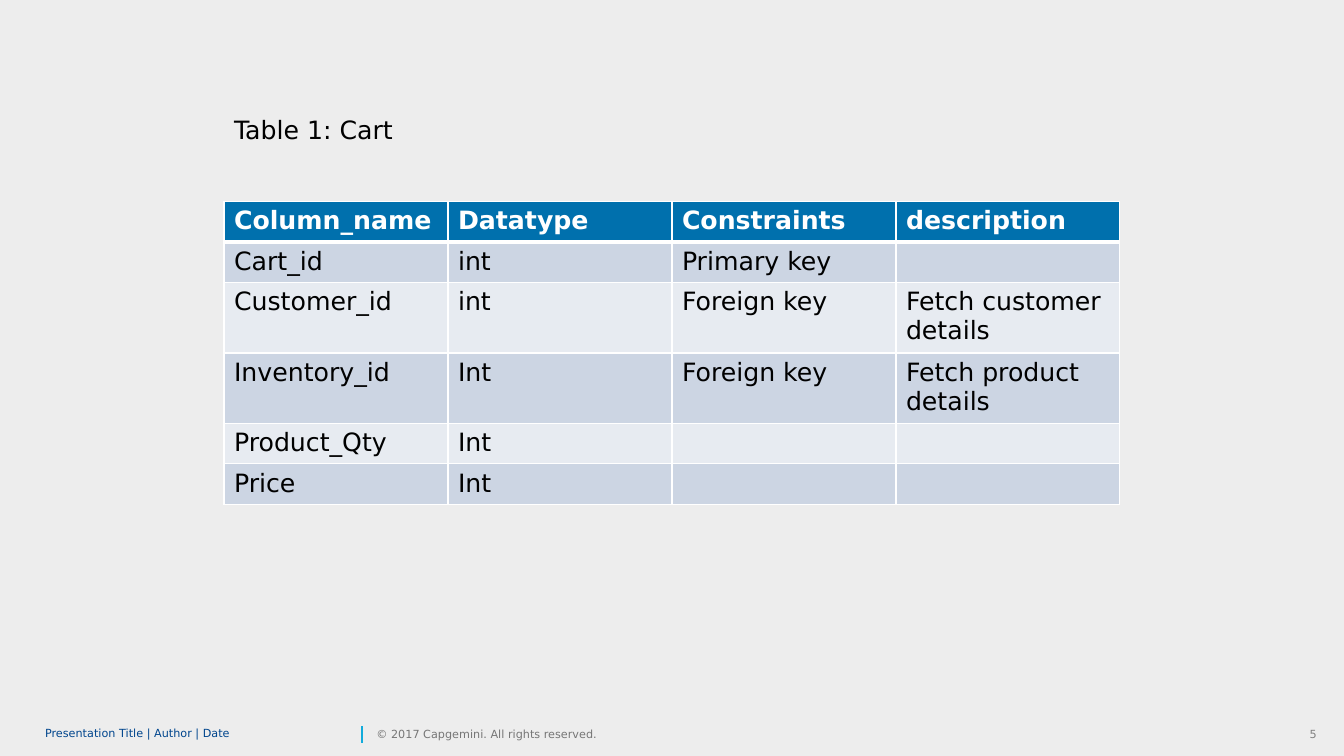
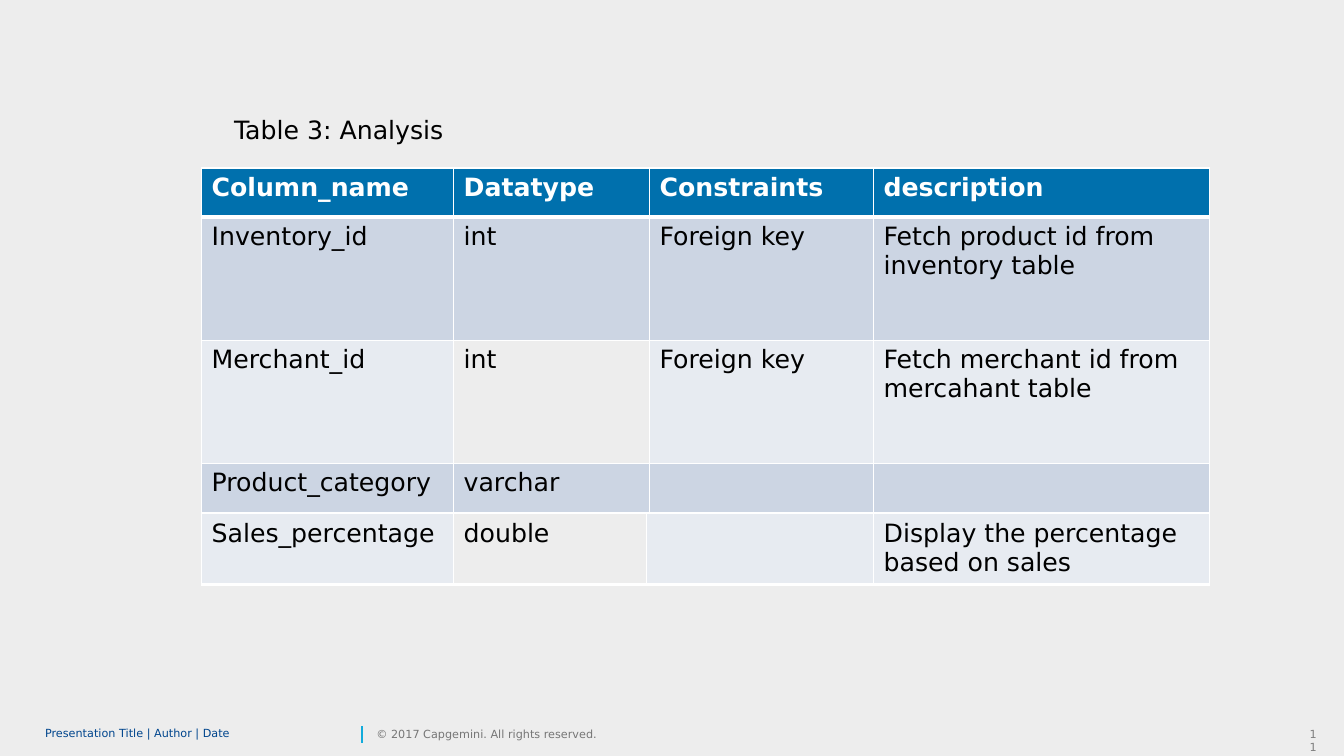
from dataclasses import dataclass

import lxml.etree
import pptx
import pptx.dml.color
import pptx.enum.shapes
import pptx.enum.text
import pptx.oxml.ns
import pptx.util

Pt = pptx.util.Pt
ALIGN = pptx.enum.text.PP_ALIGN
ANCHOR = pptx.enum.text.MSO_ANCHOR


@dataclass(frozen=True)
class Theme:
    font: str = "DejaVu Sans"
    text_size: int = 18
    footer_size: int = 8
    background: str = "EDEDED"
    text: str = "000000"
    inverse: str = "FFFFFF"
    header: str = "0070AD"
    band_dark: str = "CCD5E3"
    band_light: str = "E7EBF1"
    border: str = "FFFFFF"
    thin: int = 1
    thick: int = 3
    footer_title: str = "00458D"
    footer_note: str = "767676"
    page_number: str = "808080"
    accent: str = "12ABDB"


THEME = Theme()

HEADINGS = ("Column_name", "Datatype", "Constraints", "description")
CART_ROWS = (
    HEADINGS,
    ("Cart_id", "int", "Primary key", ""),
    ("Customer_id", "int", "Foreign key", "Fetch customer details"),
    ("Inventory_id", "Int", "Foreign key", "Fetch product details"),
    ("Product_Qty", "Int", "", ""),
    ("Price", "Int", "", ""),
)
ANALYSIS_ROWS = (
    HEADINGS,
    ("Inventory_id", "int", "Foreign key", "Fetch product id from inventory table"),
    ("Merchant_id", "int", "Foreign key", "Fetch merchant id from mercahant table"),
    ("Product_category", "varchar", "", ""),
)
SALES_ROWS = (
    ("Sales_percentage", "double", "", "Display the percentage based on sales"),
)


def rgb(value):
    return pptx.dml.color.RGBColor.from_string(value)


def format_text(text_frame, size, color, bold=False):
    for paragraph in text_frame.paragraphs:
        for run in paragraph.runs:
            run.font.name = THEME.font
            run.font.size = Pt(size)
            run.font.bold = bold
            run.font.color.rgb = rgb(color)


# Footer parts
def add_footer_text(slide, box, text, color, wrap=True):
    shape = slide.shapes.add_textbox(*map(Pt, box))
    text_frame = shape.text_frame
    text_frame.word_wrap = wrap
    text_frame.text = text
    format_text(text_frame, THEME.footer_size, color)
    return text_frame


def add_footer(slide, number):
    page = add_footer_text(slide, (928, 516, 19.6, 17), number, THEME.page_number)
    page.paragraphs[0].alignment = ALIGN.RIGHT

    title = add_footer_text(slide, (32.2, 516, 222, 17),
                            "Presentation Title | Author | Date", THEME.footer_title)
    title.paragraphs[0].line_spacing = 0.85
    note = add_footer_text(slide, (268.8, 516, 175, 17),
                           "© 2017 Capgemini. All rights reserved.",
                           THEME.footer_note, wrap=False)
    for text_frame in (title, note):
        text_frame.vertical_anchor = ANCHOR.MIDDLE
        text_frame.margin_left = text_frame.margin_right = 0
        text_frame.margin_top = text_frame.margin_bottom = 0

    divider = slide.shapes.add_connector(
        pptx.enum.shapes.MSO_CONNECTOR.STRAIGHT,
        Pt(258.5), Pt(530.6), Pt(258.5), Pt(518.4))
    divider.line.color.rgb = rgb(THEME.accent)
    divider.line.width = Pt(1)
    lxml.etree.SubElement(divider.line._get_or_add_ln().getparent(),
                          pptx.oxml.ns.qn("a:effectLst"))


# Slide with title and footer
def add_titled_slide(presentation, title, number):
    slide = presentation.slides.add_slide(presentation.slide_layouts[5])
    shape = slide.shapes.title
    shape.left, shape.top, shape.width, shape.height = map(Pt, (160, 78, 290, 29))
    text_frame = shape.text_frame
    text_frame.text = title
    text_frame.word_wrap = True
    text_frame.vertical_anchor = ANCHOR.TOP
    text_frame.paragraphs[0].alignment = ALIGN.LEFT
    format_text(text_frame, THEME.text_size, THEME.text)
    add_footer(slide, number)
    return slide


# Tables
def set_borders(cell, bottom):
    properties = cell._tc.get_or_add_tcPr()
    widths = {"lnL": THEME.thin, "lnR": THEME.thin, "lnT": THEME.thin, "lnB": bottom}
    for side, width in widths.items():
        line = lxml.etree.SubElement(properties, pptx.oxml.ns.qn(f"a:{side}"),
                                     w=str(Pt(width)))
        fill = lxml.etree.SubElement(line, pptx.oxml.ns.qn("a:solidFill"))
        lxml.etree.SubElement(fill, pptx.oxml.ns.qn("a:srgbClr"), val=THEME.border)


def format_cell(cell, text, fill, color, bold, bottom):
    cell.text_frame.text = text
    format_text(cell.text_frame, THEME.text_size, color, bold)
    set_borders(cell, bottom)
    cell.fill.solid()
    cell.fill.fore_color.rgb = rgb(fill)


def add_data_table(slide, left, top, widths, heights, rows, header=True, plain=()):
    """Banded table; the cells listed in plain take the background colour."""
    frame = slide.shapes.add_table(len(rows), len(widths), Pt(left), Pt(top),
                                   Pt(sum(widths)), Pt(sum(heights)))
    table = frame.table
    table.first_row = header
    table.horz_banding = False
    for column, width in zip(table.columns, widths):
        column.width = Pt(width)
    for row, height in zip(table.rows, heights):
        row.height = Pt(height)

    for row_index, texts in enumerate(rows):
        is_header = header and row_index == 0
        band = THEME.band_dark if row_index % 2 else THEME.band_light
        color = THEME.inverse if is_header else THEME.text
        bottom = THEME.thick if is_header or not header else THEME.thin
        for column_index, text in enumerate(texts):
            fill = THEME.header if is_header else band
            if (row_index, column_index) in plain:
                fill = THEME.background
            format_cell(table.cell(row_index, column_index), text, fill, color,
                        is_header, bottom)


def main():
    presentation = pptx.Presentation()
    presentation.slide_width, presentation.slide_height = Pt(960), Pt(540)
    background = presentation.slide_master.background.fill
    background.solid()
    background.fore_color.rgb = rgb(THEME.background)

    # Cart
    cart = add_titled_slide(presentation, "Table 1: Cart", "5")
    one_line, two_lines = 28.8, 50.4
    add_data_table(cart, 160, 144, [160] * 4,
                   [one_line] * 2 + [two_lines] * 2 + [one_line] * 2, CART_ROWS)

    # Analysis
    analysis = add_titled_slide(presentation, "Table 3: Analysis", "11")
    add_data_table(analysis, 144, 120, [180, 140, 160, 240], [35, 88, 88, 35],
                   ANALYSIS_ROWS, plain={(2, 1)})
    add_data_table(analysis, 144, 367, [180, 138, 162, 240], [two_lines],
                   SALES_ROWS, header=False, plain={(0, 1)})

    presentation.save("out.pptx")


if __name__ == "__main__":
    main()
